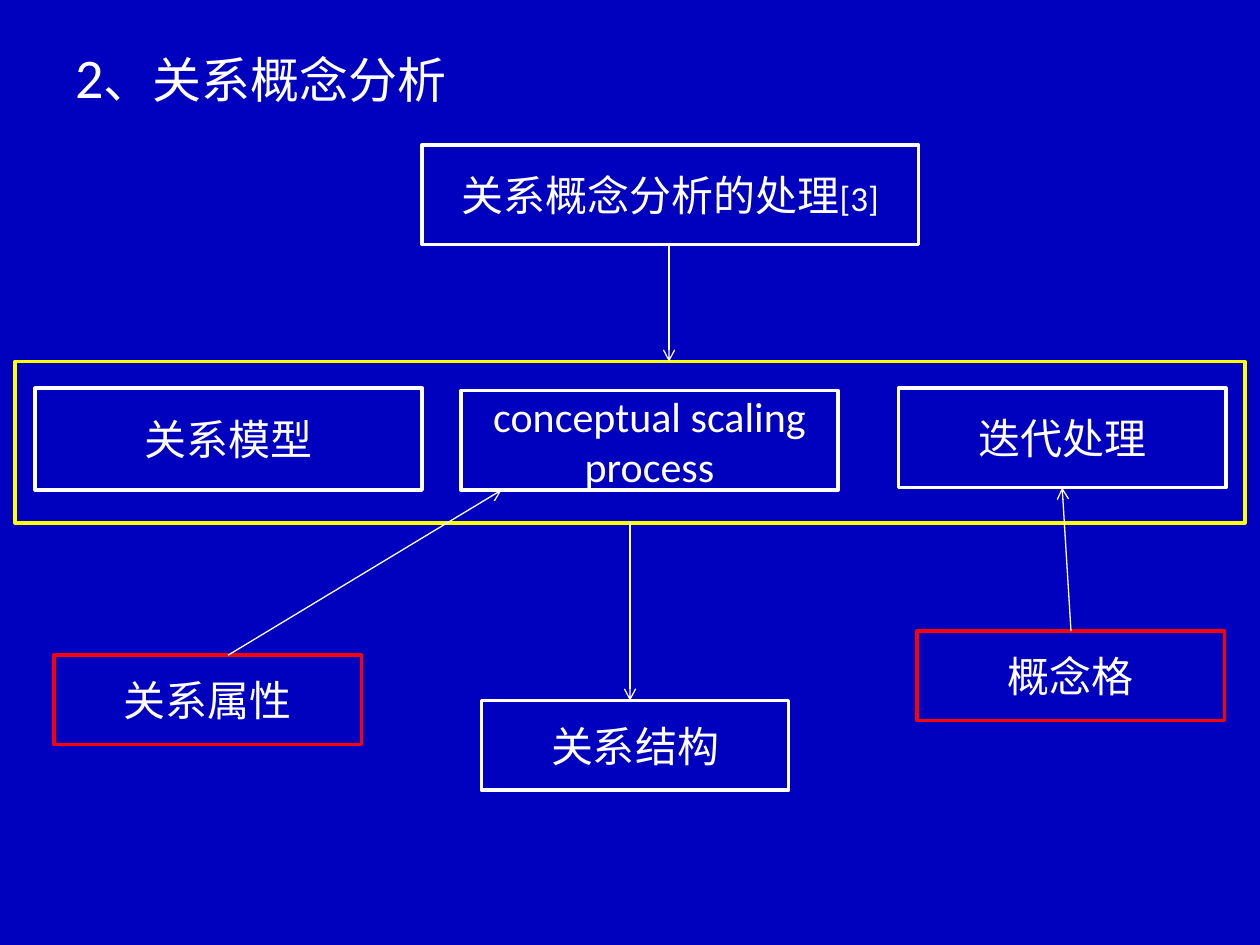
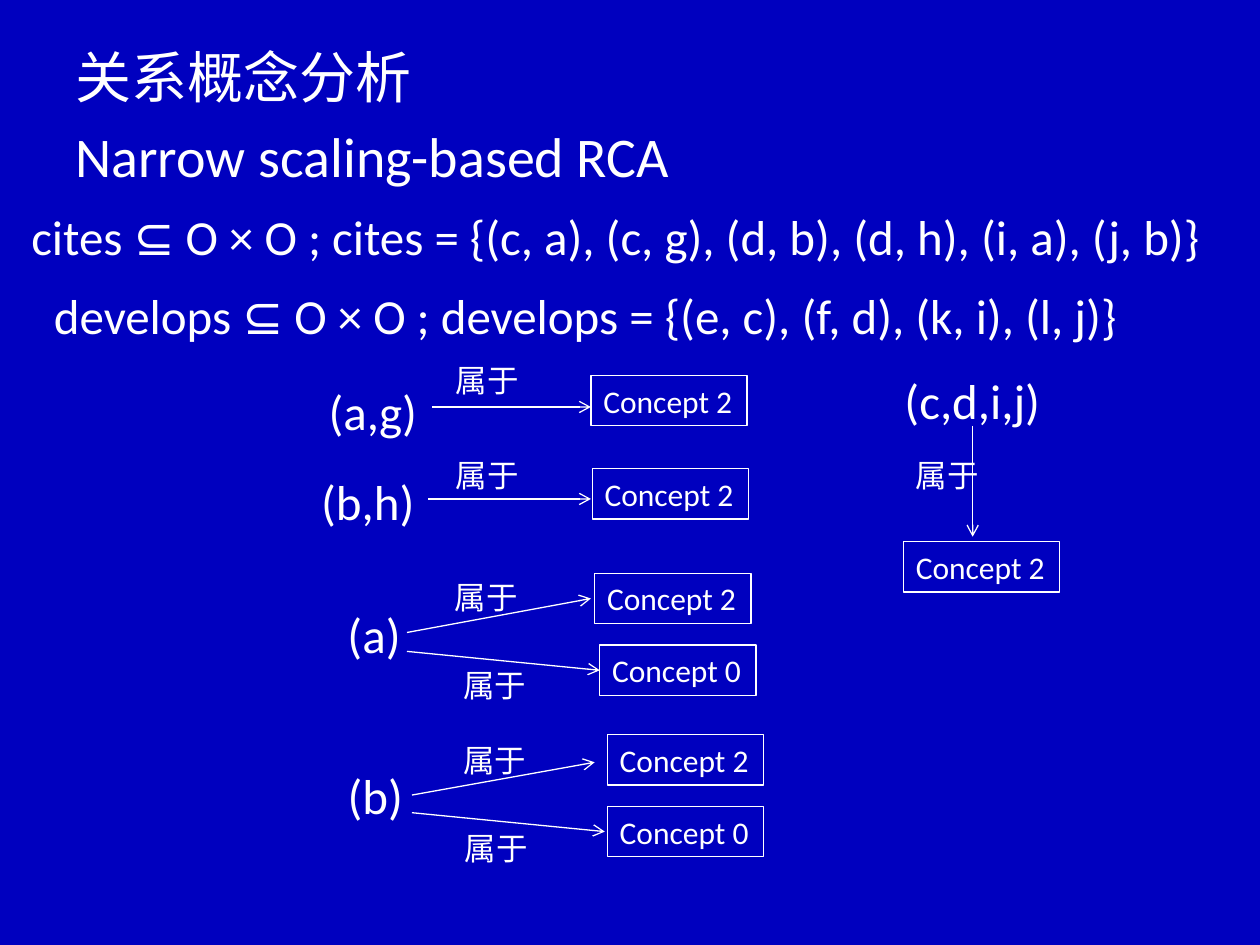
from lxml import etree
from pptx import Presentation
from pptx import util as u
from pptx.dml.color import RGBColor
from pptx.enum import shapes, text
from pptx.oxml import ns

BLUE = RGBColor(0x00, 0x00, 0xBF)
WHITE = RGBColor(0xFF, 0xFF, 0xFF)
YELLOW = RGBColor(0xFF, 0xFF, 0x00)
RED = RGBColor(0xFF, 0x00, 0x00)
FONT = "Calibri"
BELONGS = "属于"


class Canvas:
    """Draws styled elements on the current slide of a deck."""

    def __init__(self):
        self.deck = Presentation()
        self.deck.slide_width = u.Inches(10)
        self.deck.slide_height = u.Inches(7.5)
        self.page = None

    def new_page(self):
        self.page = self.deck.slides.add_slide(self.deck.slide_layouts[6])
        fill = self.page.background.fill
        fill.solid()
        fill.fore_color.rgb = BLUE

    def add_spans(self, para, *spans):
        for words, size in spans:
            span = para.add_run()
            span.text = words
            span.font.name = FONT
            span.font.size = u.Pt(size)
            span.font.color.rgb = WHITE

    def title(self, *lines):
        box = self.page.shapes.add_textbox(*map(u.Inches, (0.5, 0.29, 9, 6.41)))
        frame = box.text_frame
        frame.word_wrap = True
        self.add_spans(frame.paragraphs[0], *lines[0])
        for spans in lines[1:]:
            para = frame.add_paragraph()
            para.space_before = u.Pt(6.4)
            self.add_spans(para, *spans)

    def box(self, left, top, width, height, *spans, color=WHITE):
        box = self.page.shapes.add_shape(
            shapes.MSO_SHAPE.RECTANGLE, *map(u.Inches, (left, top, width, height)))
        box.shadow.inherit = False
        box.fill.background()
        box.line.color.rgb = color
        box.line.width = u.Pt(2)
        frame = box.text_frame
        frame.vertical_anchor = text.MSO_ANCHOR.MIDDLE
        para = frame.paragraphs[0]
        para.alignment = text.PP_ALIGN.CENTER
        self.add_spans(para, *spans)

    def label(self, left, top, width, words, size=28, wrap=False):
        height = 0.57 if size == 28 else 0.4
        box = self.page.shapes.add_textbox(*map(u.Inches, (left, top, width, height)))
        frame = box.text_frame
        frame.word_wrap = wrap
        frame.auto_size = text.MSO_AUTO_SIZE.SHAPE_TO_FIT_TEXT
        self.add_spans(frame.paragraphs[0], (words, size))
        return box

    def concept(self, left, top, number):
        box = self.label(left, top, 1.24, f"Concept {number}", 18)
        box.line.color.rgb = WHITE
        box.line.width = u.Pt(0.75)

    def arrow(self, *ends):
        line = self.page.shapes.add_connector(
            shapes.MSO_CONNECTOR.STRAIGHT, *map(u.Inches, ends))
        line.line.color.rgb = WHITE
        line.line.width = u.Pt(0.75)
        properties = line._element.spPr
        outline = properties.find(ns.qn("a:ln"))
        etree.SubElement(outline, ns.qn("a:tailEnd"), type="arrow")
        etree.SubElement(properties, ns.qn("a:effectLst"))


def process_page(canvas):
    canvas.new_page()
    canvas.title([("2", 32), ("、关系概念分析", 28)])
    canvas.box(3.35, 1.15, 3.94, 0.79, ("关系概念分析的处理", 24), ("[3]", 20))
    canvas.box(0.12, 2.87, 9.76, 1.28, color=YELLOW)
    for left, top, width, height, words in (
            (0.28, 3.08, 3.07, 0.81, "关系模型"),
            (3.66, 3.1, 2.99, 0.79, "conceptual scaling process"),
            (7.13, 3.08, 2.6, 0.79, "迭代处理")):
        canvas.box(left, top, width, height, (words, 24))
    for left, top, words, color in (
            (3.82, 5.56, "关系结构", WHITE),
            (7.28, 5.01, "概念格", RED),
            (0.43, 5.2, "关系属性", RED)):
        canvas.box(left, top, 2.44, 0.71, (words, 24), color=color)
    for ends in ((5.31, 1.94, 5.31, 2.87), (5, 4.14, 5, 5.56),
                 (1.81, 5.2, 3.98, 3.89), (8.5, 5.01, 8.43, 3.87)):
        canvas.arrow(*ends)


def scaling_page(canvas):
    canvas.new_page()
    canvas.title([("关系概念分析", 32)], [("Narrow scaling-based RCA", 32)])
    canvas.label(0.15, 1.59, 9.85,
                 "cites ⊆ O × O ; cites = {(c, a), (c, g), (d, b), (d, h), (i, a), (j, b)}",
                 wrap=True)
    canvas.label(0.33, 2.22, 9.45,
                 "develops ⊆ O × O ; develops = {(e, c), (f, d), (k, i), (l, j)}",
                 wrap=True)
    for left, top, width, words in (
            (2.51, 2.98, 0.91, "(a,g)"), (2.45, 3.69, 0.95, "(b,h)"),
            (2.66, 4.75, 0.63, "(a)"), (2.66, 6.03, 0.65, "(b)"),
            (7.08, 2.89, 1.29, "(c,d,i,j)")):
        canvas.label(left, top, width, words)
    for left, top, number in (
            (4.69, 2.98, 2), (4.7, 3.72, 2), (4.72, 4.55, 2), (4.76, 5.12, 0),
            (4.82, 5.83, 2), (4.82, 6.4, 0), (7.17, 4.3, 2)):
        canvas.concept(left, top, number)
    for left, top in ((3.52, 2.82), (3.52, 3.57), (3.51, 4.54), (3.58, 5.24),
                      (3.58, 5.83), (3.59, 6.53), (7.17, 3.57)):
        canvas.label(left, top, 0.71, BELONGS, 18)
    for ends in ((3.43, 3.23, 4.69, 3.23), (3.4, 3.96, 4.69, 3.96),
                 (3.23, 5.02, 4.69, 4.75), (3.23, 5.17, 4.76, 5.32),
                 (3.27, 6.31, 4.72, 6.05), (3.27, 6.45, 4.8, 6.6),
                 (7.72, 3.38, 7.72, 4.26)):
        canvas.arrow(*ends)


canvas = Canvas()
process_page(canvas)
scaling_page(canvas)
canvas.deck.save("out.pptx")
